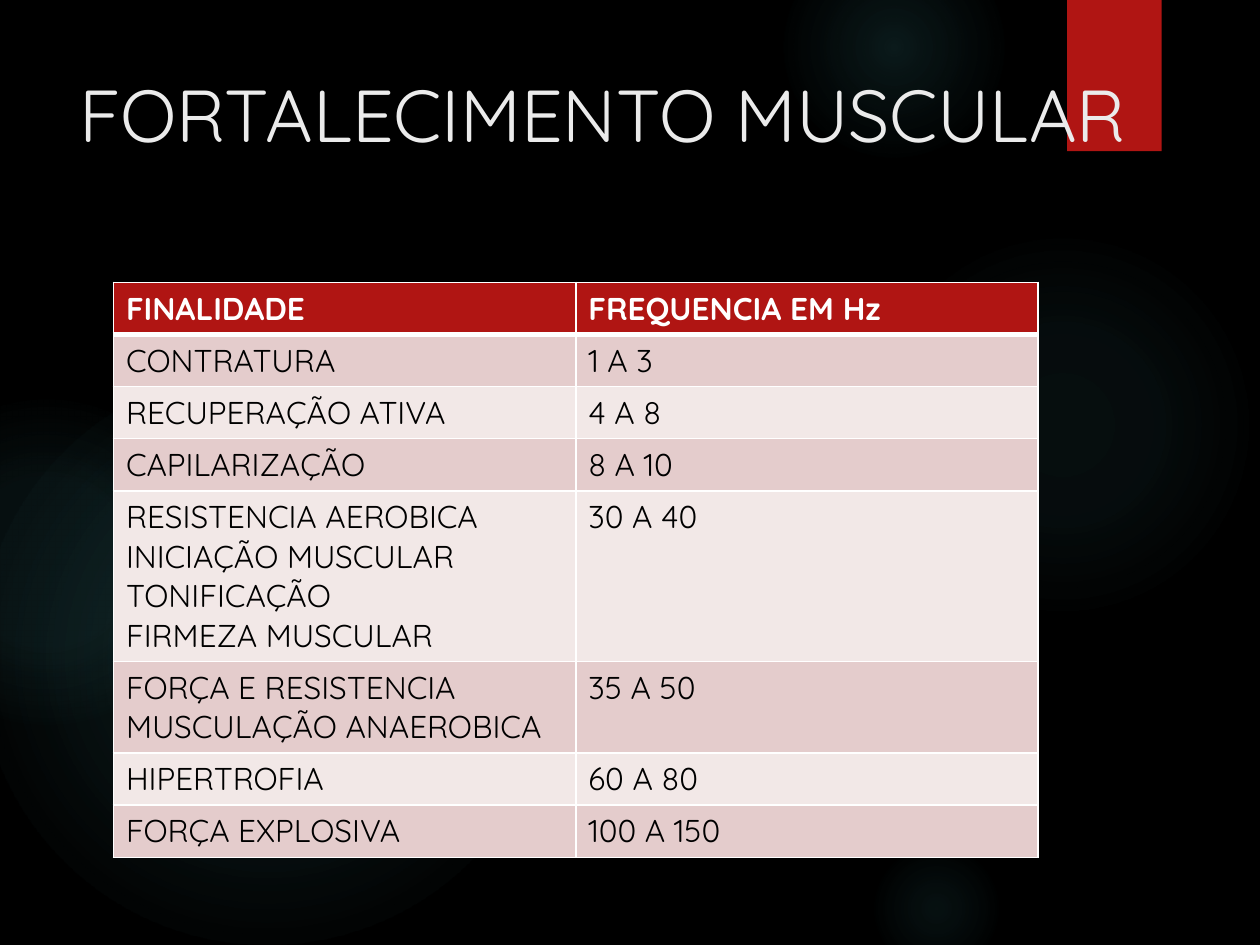
from lxml import etree
from pptx import Presentation
from pptx.dml.color import RGBColor
from pptx.enum.shapes import MSO_SHAPE
from pptx.enum.text import MSO_ANCHOR, MSO_AUTO_SIZE, PP_ALIGN
from pptx.oxml import parse_xml
from pptx.oxml.ns import nsdecls, qn
from pptx.util import Inches, Pt

OVAL, RECTANGLE = MSO_SHAPE.OVAL, MSO_SHAPE.RECTANGLE
TOP, LEFT, NO_FIT = MSO_ANCHOR.TOP, PP_ALIGN.LEFT, MSO_AUTO_SIZE.NONE
TITLE_ONLY = 5

THEME = {
    "font": "Quicksand", "title_size": 42, "table_size": 18,
    "background": "000000", "glow": "50B9C1", "accent": "B01513",
    "title": "EBEBEB", "header": "FFFFFF", "body": "000000",
    "border": "FFFFFF", "bands": ("E4CCCC", "F2E8E7"),
}

TITLE = "FORTALECIMENTO MUSCULAR"
HEADER = ("FINALIDADE", "FREQUENCIA EM Hz")
ROWS = [
    ("CONTRATURA", "1 A 3"),
    ("RECUPERAÇÃO ATIVA", "4 A 8"),
    ("CAPILARIZAÇÃO", "8 A 10"),
    ("RESISTENCIA AEROBICA\nINICIAÇÃO MUSCULAR\nTONIFICAÇÃO\nFIRMEZA MUSCULAR", "30 A 40"),
    ("FORÇA E RESISTENCIA\nMUSCULAÇÃO ANAEROBICA", "35 A 50"),
    ("HIPERTROFIA", "60 A 80"),
    ("FORÇA EXPLOSIVA", "100 A 150"),
]

# left, top, diameter, then (position %, opacity %) of each gradient stop
GLOWS = [
    (6.89, 1.83, 3.08, ((0, 7), (36, 6), (69, 0))),
    (6.22, -0.5, 1.75, ((0, 14), (36, 7), (73, 0))),
    (6.89, 6.67, 1.08, ((0, 9), (36, 5), (66, 0))),
    (-0.17, 2.92, 4.58, ((0, 11), (36, 10), (75, 0))),
    (-0.92, 3.17, 2.58, ((0, 8), (36, 8), (72, 0))),
]
RIBBON = (8.47, 0, 0.75, 1.2)
TITLE_BOX = (0.53, 0.5, 8.8, 1.53)
TABLE_LEFT, TABLE_TOP, COLUMN_WIDTH = 0.9, 2.24, 3.67
CELL_PADDING, LINE_HEIGHT = 0.1, 0.31


def write_text(frame, text, *, size, color, bold=False):
    frame.text = text
    for para in frame.paragraphs:
        para.alignment = LEFT
        for span in para.runs:
            span.font.name = THEME["font"]
            span.font.size = Pt(size)
            span.font.bold = bold
            span.font.color.rgb = RGBColor.from_string(color)


def add_plain_shape(page, kind, box, color):
    shape = page.shapes.add_shape(kind, *map(Inches, box))
    shape.shadow.inherit = False
    shape.fill.solid()
    shape.fill.fore_color.rgb = RGBColor.from_string(color)
    shape.line.fill.background()
    return shape


def add_glow(page, left, top, diameter, stops):
    """Add a circle whose colour fades out from its centre."""
    shape = add_plain_shape(page, OVAL, (left, top, diameter, diameter), THEME["glow"])
    stop_xml = "".join(
        f'<a:gs pos="{position * 1000}"><a:srgbClr val="{THEME["glow"]}">'
        f'<a:alpha val="{opacity * 1000}"/></a:srgbClr></a:gs>'
        for position, opacity in stops)
    gradient = parse_xml(
        f'<a:gradFill {nsdecls("a")} rotWithShape="1"><a:gsLst>{stop_xml}</a:gsLst>'
        '<a:path path="circle"><a:fillToRect l="50000" t="50000" r="50000" b="50000"/>'
        '</a:path></a:gradFill>')
    properties = shape._element.spPr
    properties.replace(properties.find(qn("a:solidFill")), gradient)


def add_ribbon(page):
    ribbon = add_plain_shape(page, RECTANGLE, RIBBON, THEME["accent"])
    ribbon._element.spPr.find(qn("a:effectLst")).append(parse_xml(
        f'<a:outerShdw {nsdecls("a")} blurRad="{Pt(3)}" dist="{Pt(2)}" dir="5400000">'
        '<a:srgbClr val="000000"><a:alpha val="45000"/></a:srgbClr></a:outerShdw>'))


def add_title(page):
    title = page.shapes.title
    title.left, title.top, title.width, title.height = map(Inches, TITLE_BOX)
    page.shapes._spTree.append(title._element)  # in front of the decoration
    frame = title.text_frame
    frame.word_wrap, frame.auto_size, frame.vertical_anchor = True, NO_FIT, TOP
    write_text(frame, TITLE, size=THEME["title_size"], color=THEME["title"])


def set_borders(cell, **widths):
    properties = cell._tc.get_or_add_tcPr()
    for side in "LRTB":
        line = etree.SubElement(properties, qn(f"a:ln{side}"), w=str(Pt(widths.get(side, 1))))
        fill = etree.SubElement(line, qn("a:solidFill"))
        etree.SubElement(fill, qn("a:srgbClr"), val=THEME["border"])


def add_frequency_table(page):
    rows = [HEADER, *ROWS]
    heights = [CELL_PADDING + LINE_HEIGHT * (1 + row[0].count("\n")) for row in rows]
    table = page.shapes.add_table(
        len(rows), len(HEADER), Inches(TABLE_LEFT), Inches(TABLE_TOP),
        Inches(COLUMN_WIDTH * len(HEADER)), Inches(sum(heights))).table
    for column in table.columns:
        column.width = Inches(COLUMN_WIDTH)
    for index, (row, height) in enumerate(zip(rows, heights)):
        table.rows[index].height = Inches(height)
        is_header = index == 0
        fill = THEME["accent"] if is_header else THEME["bands"][(index - 1) % 2]
        for column, text in enumerate(row):
            cell = table.cell(index, column)
            set_borders(cell, T=3 if index == 1 else 1, B=3 if is_header else 1)
            cell.fill.solid()
            cell.fill.fore_color.rgb = RGBColor.from_string(fill)
            write_text(cell.text_frame, text, size=THEME["table_size"], bold=is_header,
                       color=THEME["header" if is_header else "body"])


def main():
    deck = Presentation()
    deck.slide_width, deck.slide_height = Inches(10), Inches(7.5)
    page = deck.slides.add_slide(deck.slide_layouts[TITLE_ONLY])
    page.background.fill.solid()
    page.background.fill.fore_color.rgb = RGBColor.from_string(THEME["background"])
    for glow in GLOWS:
        add_glow(page, *glow)
    add_ribbon(page)
    add_title(page)
    add_frequency_table(page)
    deck.save("out.pptx")


if __name__ == "__main__":
    main()
